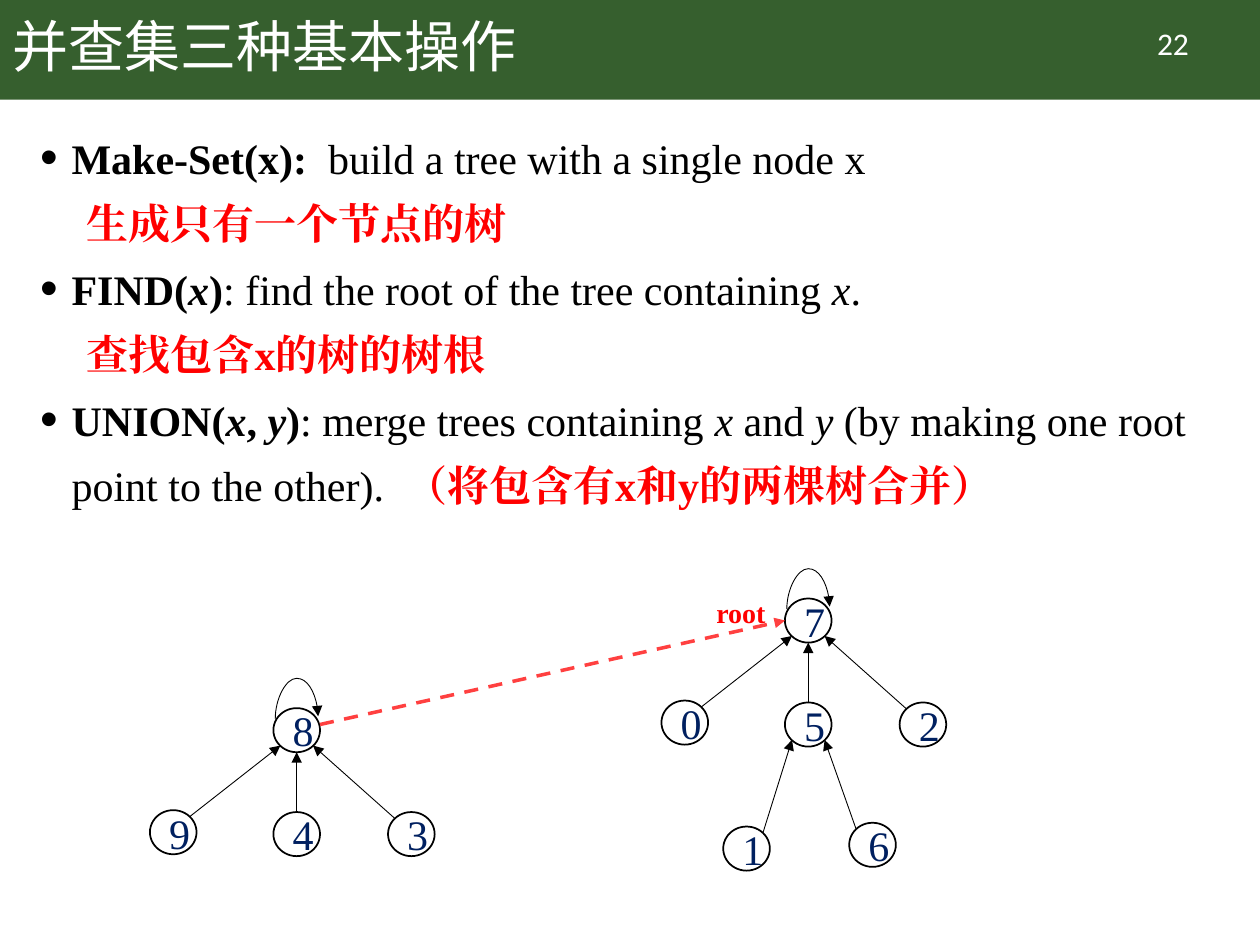
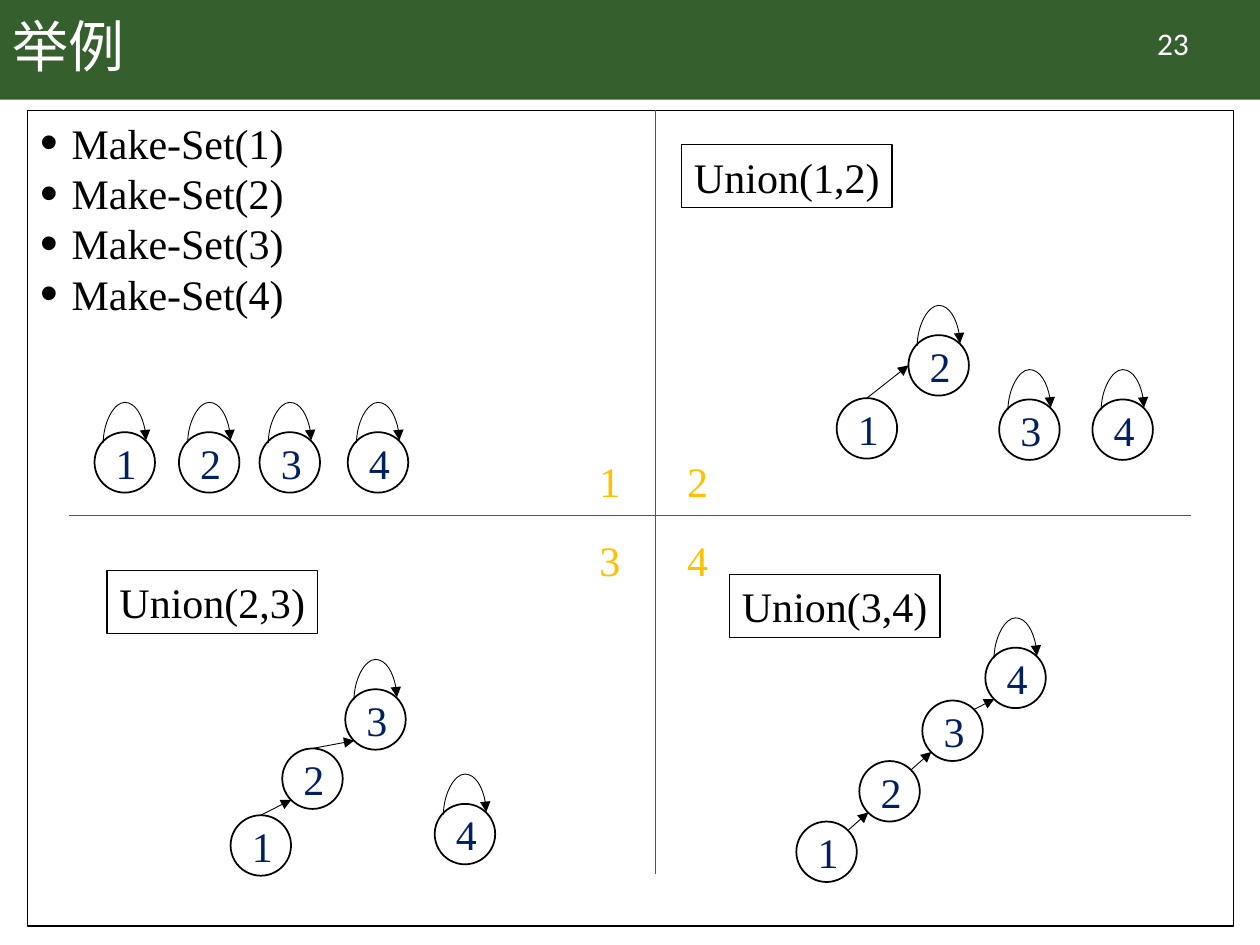
"""Build two slides on the basic operations of disjoint sets."""
from lxml import etree
from pptx import Presentation
from pptx.dml.color import RGBColor
from pptx.enum.dml import MSO_LINE
from pptx.enum.shapes import MSO_CONNECTOR, MSO_SHAPE
from pptx.enum.text import MSO_ANCHOR, PP_ALIGN
from pptx.oxml.ns import qn
from pptx.util import Emu, Inches, Pt

SLIDE_WIDTH, SLIDE_HEIGHT = Inches(10), Inches(7.5)
COLUMNS = 100
COLORS = {
    "band": "365F2E", "white": "FFFFFF", "black": "000000", "red": "FF0000",
    "node": "002060", "union": "FF4040", "divider": "16754D", "quadrant": "FFC000",
}
SERIF, TITLE_FONT, NUMBER_FONT = "Times New Roman", "Noto Sans CJK SC", "Calibri"
STRAIGHT, CURVE = MSO_CONNECTOR.STRAIGHT, MSO_CONNECTOR.CURVE
OVAL, RECTANGLE = MSO_SHAPE.OVAL, MSO_SHAPE.RECTANGLE
DASH = MSO_LINE.DASH
MIDDLE, CENTER = MSO_ANCHOR.MIDDLE, PP_ALIGN.CENTER

BAND_ROWS = 7.9
BODY_BOX = (2.2, 8.8, 95.7, 64.7)
SMALL_NODE, LARGE_NODE = (3.7, 3.5), (4.8, 4.8)
LOOP_WIDTH, LOOP_DROP, LOOP_RISE = 3.4, 0.2, 3.2
SITES = {
    "top": (0.5, 0), "bottom": (0.5, 1), "left": (0, 0.5),
    "top left": (0.15, 0.15), "top right": (0.85, 0.15),
    "bottom left": (0.15, 0.85), "bottom right": (0.85, 0.85),
}

OPERATIONS = [
    (True, [("Make-Set(x):  ", "b"), ("build a tree with a single node x", "")]),
    (False, [("生成只有一个节点的树", "br")]),
    (True, [("FIND(", "b"), ("x", "bi"), (")", "b"),
            (": find the root of the tree containing ", ""), ("x", "i"), (".", "")]),
    (False, [("查找包含x的树的树根", "br")]),
    (True, [("UNION(", "b"), ("x", "bi"), (", ", "b"), ("y", "bi"), (")", "b"),
            (": merge trees containing ", ""), ("x ", "i"), ("and ", ""), ("y ", "i"),
            ("(by making one root point to the other).  ", ""),
            ("（将包含有x和y的两棵树合并）", "br")]),
]
MAKE_SETS = [(True, [(f"Make-Set({number})", "")]) for number in range(1, 5)]


def grid(*cells):
    """Turn counts of square grid cells into lengths."""
    return [Emu(round(SLIDE_WIDTH / COLUMNS * count)) for count in cells]


def color(name):
    """Look up a named colour."""
    return RGBColor.from_string(COLORS[name])


def format_run(run, size, color_name, font_name=SERIF, bold=False, italic=False):
    """Set the font of a run for Latin and East Asian text."""
    run.font.size, run.font.name = Pt(size), font_name
    run.font.bold, run.font.italic = bold, italic
    run.font.color.rgb = color(color_name)
    east_asian = etree.SubElement(run.font._element, qn("a:ea"))
    east_asian.set("typeface", font_name)


def set_outline(shape, color_name, width):
    """Give a shape or connector a plain outline."""
    shape.line.color.rgb = color(color_name)
    shape.line.width = Pt(width)


def add_label(slide, text, box, size, color_name, font_name=SERIF, bold=False,
              align=None, anchor=None, wrap=True):
    """Add a text box holding one line of text."""
    shape = slide.shapes.add_textbox(*grid(*box))
    frame = shape.text_frame
    frame.text, frame.word_wrap = text, wrap
    if anchor is not None:
        frame.vertical_anchor = anchor
    paragraph = frame.paragraphs[0]
    paragraph.alignment = align
    format_run(paragraph.runs[0], size, color_name, font_name, bold)
    return shape


def add_titled_slide(presentation, title, number):
    """Add a slide with the title band and its number."""
    slide = presentation.slides.add_slide(presentation.slide_layouts[6])
    band = slide.shapes.add_shape(RECTANGLE, *grid(0, 0, COLUMNS, BAND_ROWS))
    band.shadow.inherit = False
    band.fill.solid()
    band.fill.fore_color.rgb = color("band")
    band.line.fill.background()
    heading = add_label(slide, title, (0, 0, 86.2, BAND_ROWS), 32, "white",
                        TITLE_FONT, anchor=MIDDLE)
    heading.text_frame.paragraphs[0].line_spacing = 0.9
    add_label(slide, str(number), (87.1, 1.4, 12, 4), 18, "white",
              NUMBER_FONT, align=CENTER)
    return slide


def set_indent(paragraph, bulleted):
    """Indent a paragraph, with a hanging bullet if wanted."""
    properties = paragraph._p.get_or_add_pPr()
    margin, indent = (0.25, -0.39) if bulleted else (0.37, 0)
    properties.set("marL", str(Inches(margin)))
    properties.set("indent", str(Inches(indent)))
    if bulleted:
        bullet_color = etree.SubElement(properties, qn("a:buClr"))
        etree.SubElement(bullet_color, qn("a:srgbClr")).set("val", COLORS["black"])
        etree.SubElement(properties, qn("a:buSzPct")).set("val", "120000")
        etree.SubElement(properties, qn("a:buFont")).set("typeface", "Arial")
        etree.SubElement(properties, qn("a:buChar")).set("char", "•")


def add_body(slide, paragraphs, line_spacing=None):
    """Add the main text from lists of styled runs."""
    shape = slide.shapes.add_textbox(*grid(*BODY_BOX))
    frame = shape.text_frame
    frame.word_wrap = True
    for index, (bulleted, pieces) in enumerate(paragraphs):
        paragraph = frame.add_paragraph() if index else frame.paragraphs[0]
        set_indent(paragraph, bulleted)
        paragraph.line_spacing = line_spacing
        for text, style in pieces:
            run = paragraph.add_run()
            run.text = text
            format_run(run, 24, "red" if "r" in style else "black",
                       bold="b" in style, italic="i" in style)
    return shape


def add_connector(slide, kind, begin, end, color_name="black", width=0.5, arrow=True):
    """Draw a connector between two points given in lengths."""
    connector = slide.shapes.add_connector(kind, *begin, *end)
    set_outline(connector, color_name, width)
    if arrow:
        line = connector.line._get_or_add_ln()
        etree.SubElement(line, qn("a:tailEnd")).set("type", "triangle")
    etree.SubElement(connector._element.spPr, qn("a:effectLst"))
    return connector


def add_node(slide, label, left, top, size):
    """Draw a tree node with its label."""
    node = slide.shapes.add_shape(OVAL, *grid(left, top, *size))
    node.shadow.inherit = False
    node.fill.background()
    set_outline(node, "black", 1)
    node.text_frame.text = str(label)
    paragraph = node.text_frame.paragraphs[0]
    paragraph.alignment = CENTER
    format_run(paragraph.runs[0], 24, "node")
    return node


def site_point(node, site):
    """Find the point of a node's outline at a named site."""
    across, down = SITES[site]
    return (Emu(round(node.left + node.width * across)),
            Emu(round(node.top + node.height * down)))


def link(slide, child, child_site, parent, parent_site):
    """Draw the arrow from a child to its parent."""
    add_connector(slide, STRAIGHT, site_point(child, child_site),
                  site_point(parent, parent_site))


def add_self_loop(slide, node):
    """Draw the curved arrow from a root to itself."""
    half_drop, half_width, depth = grid(LOOP_DROP / 2, LOOP_WIDTH / 2, 0.75)
    center_x, center_y = node.left + node.width // 2, node.top + depth
    loop = add_connector(slide, CURVE,
                         (center_x + half_drop, center_y + half_width),
                         (center_x - half_drop, center_y - half_width))
    properties = loop._element.spPr
    properties.find(qn("a:xfrm")).set("rot", str(90 * 60000))
    geometry = properties.find(qn("a:prstGeom"))
    adjustments = geometry.find(qn("a:avLst"))
    if adjustments is None:
        adjustments = etree.SubElement(geometry, qn("a:avLst"))
    guide = etree.SubElement(adjustments, qn("a:gd"))
    guide.set("name", "adj1")
    guide.set("fmla", f"val {round(LOOP_RISE / LOOP_DROP * 100000)}")


def add_tree(slide, left, top, root_label, child_labels):
    """Draw a root with three children and return root and middle child."""
    root = add_node(slide, root_label, left, top, SMALL_NODE)
    add_self_loop(slide, root)
    branches = [(-9.8, 8.1, "top right", "bottom left"), (0, 8.25, "top", "bottom"),
                (9.1, 8.25, "top left", "bottom right")]
    children = []
    for label, (across, down, child_site, root_site) in zip(child_labels, branches):
        child = add_node(slide, label, left + across, top + down, SMALL_NODE)
        link(slide, child, child_site, root, root_site)
        children.append(child)
    return root, children[1]


def add_chain(slide, positions, first_label=1, sites=()):
    """Draw nodes that each point to the next, the last to itself."""
    nodes = [add_node(slide, label, left, top, LARGE_NODE)
             for label, (left, top) in enumerate(positions, first_label)]
    for child, parent, (child_site, parent_site) in zip(nodes, nodes[1:], sites):
        link(slide, child, child_site, parent, parent_site)
    add_self_loop(slide, nodes[-1])


def build_operations_slide(presentation):
    """Explain the three operations and merge two trees."""
    slide = add_titled_slide(presentation, "并查集三种基本操作", 22)
    add_body(slide, OPERATIONS, 1.3)
    add_tree(slide, 21.7, 56.2, 8, (9, 4, 3))
    root, middle = add_tree(slide, 62.3, 47.5, 7, (0, 5, 2))
    for label, left, top, child_site, parent_site in (
            (6, 67.4, 65.3, "top left", "bottom right"),
            (1, 57.4, 65.6, "top right", "bottom left")):
        leaf = add_node(slide, label, left, top, SMALL_NODE)
        link(slide, leaf, child_site, middle, parent_site)
    add_label(slide, "root", (55.8, 46.8, 6, 3.7), 16, "red", bold=True,
              align=CENTER, wrap=False)
    merge = add_connector(slide, STRAIGHT, grid(25.4, 57.5),
                          site_point(root, "left"), "union", 2)
    merge.line.dash_style = DASH


def build_example_slide(presentation):
    """Show four steps of an example in quadrants."""
    slide = add_titled_slide(presentation, "举例", 23)
    set_outline(add_body(slide, MAKE_SETS), "black", 0.75)
    for begin, end in (((5.5, 40.9), (94.5, 40.9)), ((52, 8.7), (52, 69.4))):
        add_connector(slide, STRAIGHT, grid(*begin), grid(*end), "divider", arrow=False)
    for index in range(4):
        row, column = divmod(index, 2)
        number = add_label(slide, str(index + 1),
                           (46.6 + 6.95 * column, 34.9 + 6.2 * row, 6, 7),
                           24, "quadrant")
        number.text_frame.paragraphs[0].line_spacing = 1.2
    for text, left, top in (("Union(1,2)", 54.1, 11.5), ("Union(2,3)", 8.5, 45.3),
                            ("Union(3,4)", 57.9, 45.6)):
        label = add_label(slide, text, (left, top, 16.7, 5), 24, "black", wrap=False)
        set_outline(label, "black", 0.75)

    for label, left in enumerate((7.5, 14.2, 20.6, 27.6), 1):
        add_chain(slide, [(left, 34.3)], label)
    add_chain(slide, [(66.4, 31.6), (72.1, 26.6)], sites=[("top", "left")])
    for label, left in ((3, 79.3), (4, 86.7)):
        add_chain(slide, [(left, 31.7)], label)
    add_chain(slide, [(18.3, 64.7), (22.4, 59.4), (27.4, 54.7)],
              sites=[("top", "bottom left")] * 2)
    add_chain(slide, [(34.5, 63.8)], 4)
    add_chain(slide, [(63.2, 65.2), (68.2, 60.4), (73.2, 55.6), (78.2, 51.4)],
              sites=[("top right", "bottom left")] * 3)


def main():
    """Build and save the presentation."""
    presentation = Presentation()
    presentation.slide_width, presentation.slide_height = SLIDE_WIDTH, SLIDE_HEIGHT
    build_operations_slide(presentation)
    build_example_slide(presentation)
    presentation.save("out.pptx")


if __name__ == "__main__":
    main()
